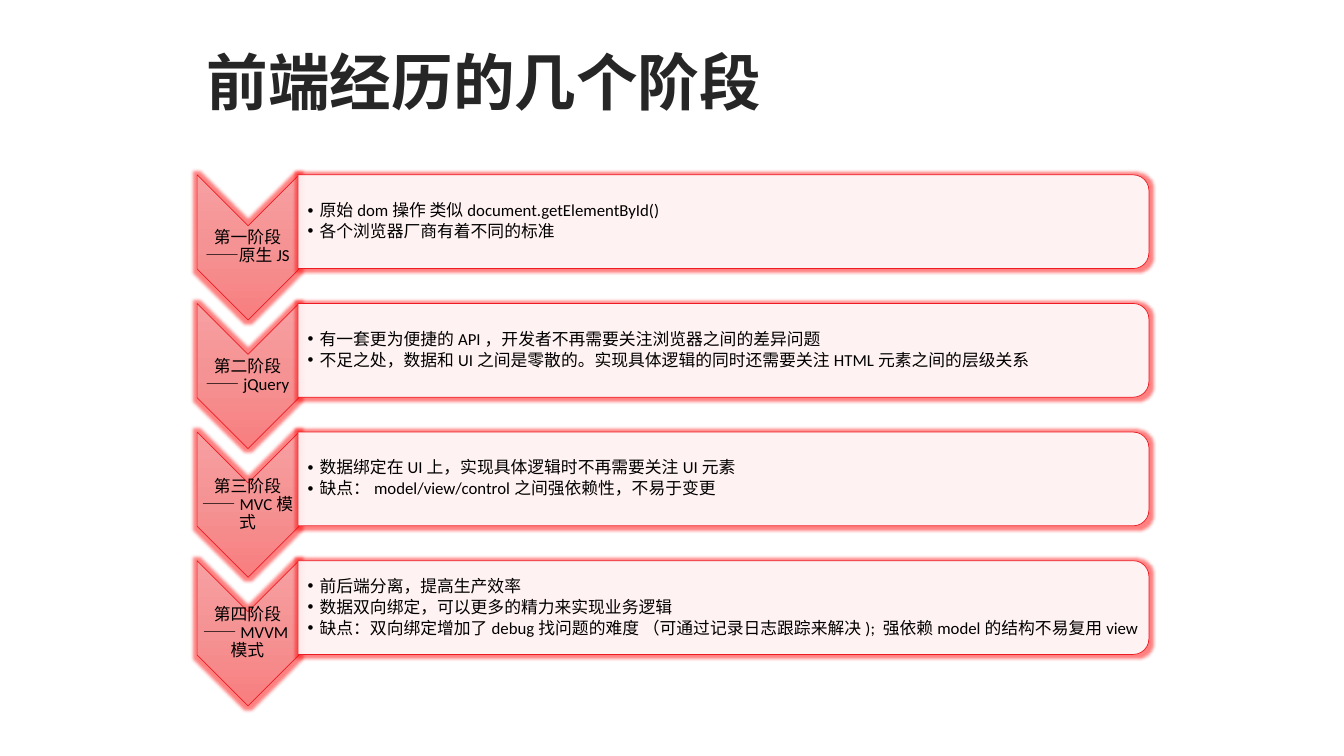
from lxml import etree
from pptx import Presentation
from pptx.dml.color import RGBColor
from pptx.enum.shapes import MSO_SHAPE
from pptx.enum.text import MSO_ANCHOR, MSO_AUTO_SIZE, PP_ALIGN
from pptx.oxml import parse_xml
from pptx.oxml.ns import qn
from pptx.util import Pt

PX = 9144  # 100 px to the inch
CHEVRON = MSO_SHAPE.CHEVRON
PANEL = MSO_SHAPE.ROUND_2_SAME_RECTANGLE
MIDDLE, NO_FIT = MSO_ANCHOR.MIDDLE, MSO_AUTO_SIZE.NONE
LEFT, CENTER = PP_ALIGN.LEFT, PP_ALIGN.CENTER
NS = 'xmlns:a="http://schemas.openxmlformats.org/drawingml/2006/main"'
RED = "ED1C24"
CJK = "Noto Sans CJK SC"

STAGES = [
    ("第一阶段——原生JS", [
        "原始dom操作 类似document.getElementById()",
        "各个浏览器厂商有着不同的标准"]),
    ("第二阶段——jQuery", [
        "有一套更为便捷的API，开发者不再需要关注浏览器之间的差异问题",
        "不足之处，数据和UI之间是零散的。实现具体逻辑的同时还需要关注HTML元素之间的层级关系"]),
    ("第三阶段——MVC模式", [
        "数据绑定在UI上，实现具体逻辑时不再需要关注UI元素",
        "缺点：model/view/control之间强依赖性，不易于变更"]),
    ("第四阶段——MVVM模式", [
        "前后端分离，提高生产效率",
        "数据双向绑定，可以更多的精力来实现业务逻辑",
        "缺点：双向绑定增加了debug找问题的难度 （可通过记录日志跟踪来解决); 强依赖model的结构不易复用view"]),
]


def add_glow(kind, box):
    """Add a shape turned by 90 degrees, with a red outline and glow."""
    shape = slide.shapes.add_shape(kind, *[round(n * PX) for n in box])
    shape.rotation = 90
    shape.line.color.rgb = RGBColor.from_string(RED)
    shape.line.width = Pt(0.5)
    shape.shadow.inherit = False
    effects = shape._element.spPr.find(qn("a:effectLst"))
    effects.append(parse_xml(
        f'<a:glow {NS} rad="63500"><a:srgbClr val="FF0000">'
        '<a:alpha val="50000"/></a:srgbClr></a:glow>'))
    return shape


def set_font(para, size, name, color, bold=False):
    para.line_spacing = 0.9
    for run in para.runs:
        font = run.font
        font.size, font.name, font.bold = Pt(size), name, bold
        font.color.rgb = RGBColor.from_string(color)
        east = etree.SubElement(run._r.get_or_add_rPr(), qn("a:ea"))
        east.set("typeface", CJK)


prs = Presentation()
prs.slide_width, prs.slide_height = 1333 * PX, 750 * PX
slide = prs.slides.add_slide(prs.slide_layouts[5])

# Title
title = slide.shapes.title
title.left, title.top, title.width, title.height = [
    n * PX for n in (195, 41, 941, 87)]
frame = title.text_frame
frame.text = "前端经历的几个阶段"
frame.auto_size, frame.vertical_anchor = NO_FIT, MIDDLE
frame.paragraphs[0].alignment = LEFT
set_font(frame.paragraphs[0], 44, CJK, "262626", True)

for i, (name, notes) in enumerate(STAGES):
    top = 195 + 127.6 * i

    # Chevron, shaded from top to bottom
    arrow = add_glow(CHEVRON, (174, top, 144, 101))
    arrow.fill.gradient()
    old = arrow._element.spPr.find(qn("a:gradFill"))
    stops = "".join(
        f'<a:gs pos="{pos}"><a:srgbClr val="{color}"/></a:gs>'
        for pos, color in ((0, "F7A0A2"), (50000, "F59293"), (100000, "F87E7F")))
    old.getparent().replace(old, parse_xml(
        f'<a:gradFill {NS} rotWithShape="0"><a:gsLst>{stops}</a:gsLst>'
        '<a:lin ang="5400000" scaled="0"/></a:gradFill>'))

    # Panel, slightly see-through
    panel = add_glow(PANEL, (671, top - 397, 93, 844))
    panel.fill.solid()
    panel.fill.fore_color.rgb = RGBColor.from_string("FFFFFF")
    tint = panel._element.spPr.find(qn("a:solidFill"))[0]
    etree.SubElement(tint, qn("a:alpha")).set("val", "90000")

    # Stage name and notes
    for lines, box, inset, bullet in (
            ([name], (195, top + 29, 101, 43), 1, False),
            (notes, (296, top - 17, 839, 84), 9, True)):
        text = slide.shapes.add_textbox(*[round(n * PX) for n in box])
        frame = text.text_frame
        frame.word_wrap, frame.vertical_anchor = True, MIDDLE
        frame.margin_left = inset * PX
        frame.margin_top = frame.margin_right = frame.margin_bottom = PX
        frame.text = "\n".join(lines)
        for para in frame.paragraphs:
            para.alignment = LEFT if bullet else CENTER
            if bullet:
                props = para._p.get_or_add_pPr()
                props.set("marL", str(12 * PX))
                props.set("indent", str(-12 * PX))
                etree.SubElement(props, qn("a:buFont")).set("typeface", "Arial")
                etree.SubElement(props, qn("a:buChar")).set("char", "•")
                para.space_after = Pt(2)
            set_font(para, 12, "Calibri", "000000")

prs.save("out.pptx")
